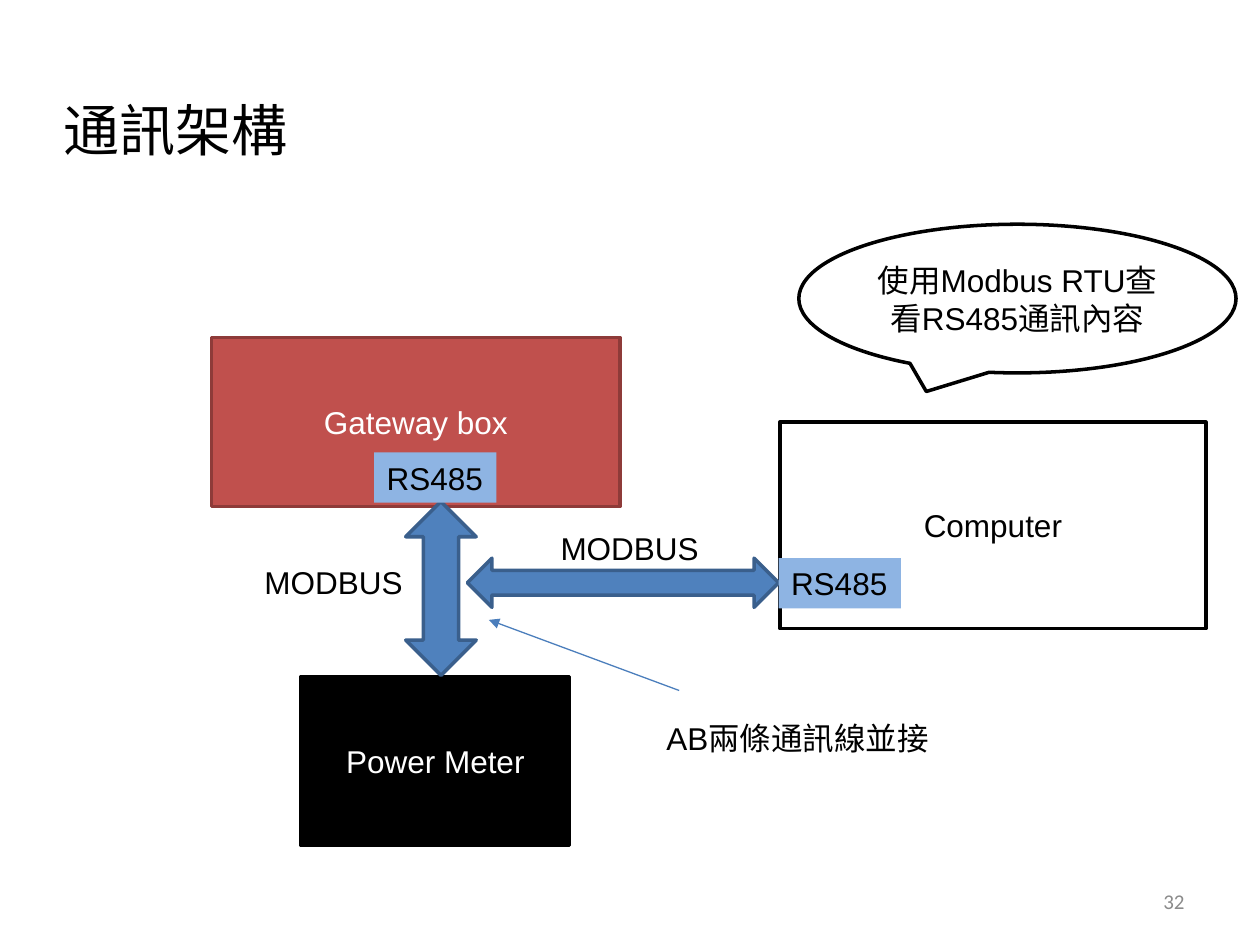
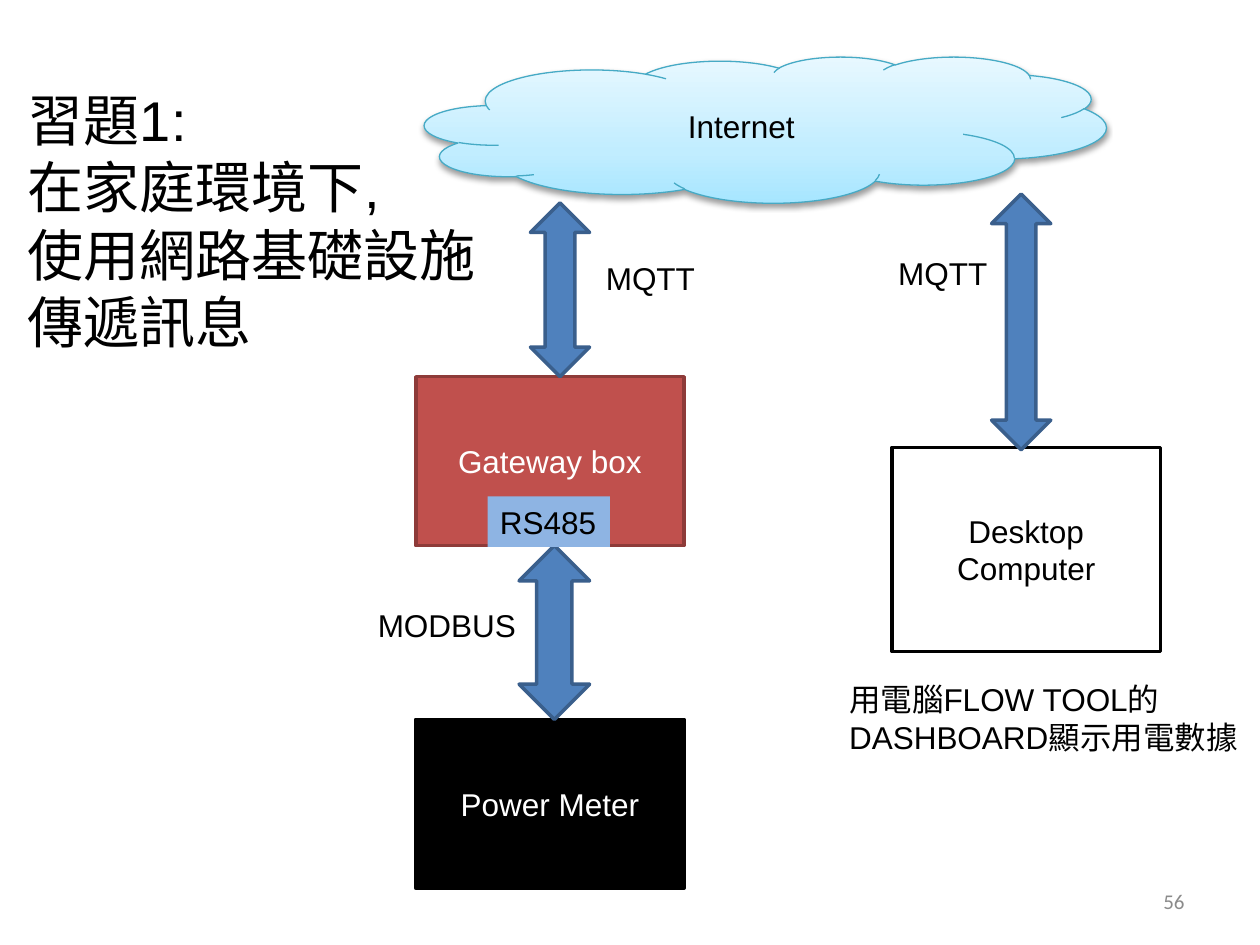
from lxml import etree
from pptx import Presentation, util as u
from pptx.dml.color import RGBColor
from pptx.enum import shapes, text
from pptx.oxml.ns import qn

# Shared style: a grid of 100 columns by 75 rows
COLS, ROWS = 100, 75
WIDTH, HEIGHT = u.Inches(10), u.Inches(7.5)
BLACK, WHITE, GREY = "000000", "FFFFFF", "8B8B8B"
RED, RED_EDGE = "C0504D", "8E3B39"
BLUE, BLUE_EDGE, PORT = "4F81BD", "3A5F8C", "8EB4E3"
LINE_BLUE, CLOUD_EDGE = "4B7EBC", "46AAC5"
CLOUD_STOPS = [(0, "A7E6FF"), (35, "C1EDFF"), (100, "E7F8FF")]
MSO, ALIGN, ANCHOR = shapes.MSO_SHAPE, text.PP_ALIGN, text.MSO_ANCHOR
PORT_SIZE = (9.7, 4)


def rgb(value):
    return RGBColor.from_string(value)


def add(parent, tag, **attrs):
    """Append a drawing element and return it."""
    return etree.SubElement(parent, qn(tag), {k: str(v) for k, v in attrs.items()})


def write(tf, content, size=18, font="Arial", color=BLACK, align=ALIGN.LEFT,
          anchor=ANCHOR.TOP, wrap=True):
    """Fill a text frame, one paragraph a line."""
    tf.auto_size = text.MSO_AUTO_SIZE.NONE
    tf.word_wrap = wrap
    tf.vertical_anchor = anchor
    for i, line in enumerate(content.split("\n")):
        p = tf.paragraphs[0] if i == 0 else tf.add_paragraph()
        p.alignment = align
        r = p.add_run()
        r.text = line
        r.font.size, r.font.name = u.Pt(size), font
        r.font.color.rgb = rgb(color)


class Deck:
    def __init__(self):
        self.prs = Presentation()
        self.prs.slide_width, self.prs.slide_height = WIDTH, HEIGHT
        self.s = None

    def grid(self, *values):
        """Turn column, row pairs into lengths."""
        units = (WIDTH / COLS, HEIGHT / ROWS)
        return [round(v * units[i % 2]) for i, v in enumerate(values)]

    def slide(self, title, at, number):
        self.s = self.prs.slides.add_slide(self.prs.slide_layouts[5])
        sp = self.s.shapes.title
        sp.left, sp.top, sp.width, sp.height = self.grid(*at)
        write(sp.text_frame, title, size=32, wrap=False)
        self.label(number, (71.7, 69.5, 23.3, 4), size=12, font="Calibri",
                   color=GREY, align=ALIGN.RIGHT, anchor=ANCHOR.MIDDLE)

    def label(self, content, at, **fmt):
        sp = self.s.shapes.add_textbox(*self.grid(*at))
        write(sp.text_frame, content, **fmt)

    def shape(self, kind, at, fill=None, edge=None, weight=2):
        sp = self.s.shapes.add_shape(kind, *self.grid(*at))
        sp.shadow.inherit = False
        if fill:
            sp.fill.solid()
            sp.fill.fore_color.rgb = rgb(fill)
        if edge:
            sp.line.color.rgb = rgb(edge)
            sp.line.width = u.Pt(weight)
        else:
            sp.line.fill.background()
        return sp

    def box(self, content, at, fill=WHITE, edge=BLACK, color=BLACK, kind=MSO.RECTANGLE):
        sp = self.shape(kind, at, fill, edge)
        write(sp.text_frame, content, color=color, align=ALIGN.CENTER,
              anchor=ANCHOR.MIDDLE)

    def meter(self, left, top):
        self.box("Power Meter", (left, top, 21.3, 13.4), BLACK, BLACK, WHITE)

    def gateway(self, at):
        self.box("Gateway box", at, RED, RED_EDGE, WHITE)

    def port(self, left, top):
        sp = self.shape(MSO.RECTANGLE, (left, top, *PORT_SIZE), PORT)
        write(sp.text_frame, "RS485", wrap=False)

    def arrow(self, at, kind=MSO.UP_DOWN_ARROW):
        self.shape(kind, at, BLUE, BLUE_EDGE)

    def cloud(self, content, at):
        sp = self.shape(MSO.CLOUD, at, edge=CLOUD_EDGE, weight=0.75)
        pr = sp._element.spPr
        # Gradient fill
        grad = etree.Element(qn("a:gradFill"), rotWithShape="1")
        stops = add(grad, "a:gsLst")
        for pos, color in CLOUD_STOPS:
            add(add(stops, "a:gs", pos=pos * 1000), "a:srgbClr", val=color)
        add(grad, "a:lin", ang=270 * 60000, scaled=0)
        pr.find(qn("a:prstGeom")).addnext(grad)
        # Soft shadow below
        shadow = add(pr.find(qn("a:effectLst")), "a:outerShdw", blurRad=u.Pt(3.1),
                     dist=u.Pt(1.6), dir=90 * 60000, rotWithShape=0)
        add(add(shadow, "a:srgbClr", val=BLACK), "a:alpha", val=38000)
        write(sp.text_frame, content, align=ALIGN.CENTER, anchor=ANCHOR.MIDDLE)

    def pointer(self, ends):
        c = self.s.shapes.add_connector(shapes.MSO_CONNECTOR.STRAIGHT, *self.grid(*ends))
        c.line.color.rgb = rgb(LINE_BLUE)
        c.line.width = u.Pt(0.75)
        add(c.line._get_or_add_ln(), "a:tailEnd", type="triangle")
        add(c._element.spPr, "a:effectLst")


def communication(d):
    d.slide("通訊架構", (4, 7.1, 20, 6.4), "32")
    # Devices
    d.meter(23.9, 53.7)
    d.gateway((16.8, 26.8, 32.4, 13.4))
    d.box("Computer", (61.9, 33.5, 33.8, 16.4))
    # Links and ports
    d.arrow((32.2, 39.8, 5.6, 13.8))
    d.arrow((37.1, 44.3, 24.7, 3.9), MSO.LEFT_RIGHT_ARROW)
    for left, top in ((20, 44.2), (43.5, 41.5)):
        d.label("MODBUS", (left, top, 13.1, 4), wrap=False)
    for left, top in ((29.7, 35.9), (61.8, 44.3)):
        d.port(left, top)
    # Remarks
    d.box("使用Modbus RTU查看RS485通訊內容", (63.4, 17.8, 34.7, 11.8),
          kind=MSO.OVAL_CALLOUT)
    d.label("AB兩條通訊線並接", (51.9, 56.6, 23.1, 7.1))
    d.pointer((53.9, 54.8, 38.8, 49.2))


def exercise(d):
    d.slide("習題1:\n在家庭環境下,\n使用網路基礎設施\n傳遞訊息", (1.2, 6.3, 37.9, 22.6), "56")
    # Devices and network
    d.meter(33, 57.1)
    d.gateway((33, 29.9, 21.3, 13.4))
    d.box("Desktop Computer", (70.8, 35.5, 21.3, 16.2))
    d.cloud("Internet", (33.7, 4.5, 54.1, 11.6))
    # Links and ports
    for at in ((41.2, 43.3, 5.6, 13.8), (42.1, 16.1, 4.7, 13.8), (78.7, 15.4, 4.7, 20.3)):
        d.arrow(at)
    for left, top in ((47.1, 20.1), (70.3, 19.7)):
        d.label("MQTT", (left, top, 9.2, 4), wrap=False)
    d.label("MODBUS", (29, 47.6, 13.1, 4), wrap=False)
    d.port(38.7, 39.4)
    # Remark
    d.label("用電腦FLOW TOOL的\nDASHBOARD顯示用電數據", (66.4, 53.5, 33.2, 10))


def main():
    d = Deck()
    communication(d)
    exercise(d)
    d.prs.save("out.pptx")


if __name__ == "__main__":
    main()
